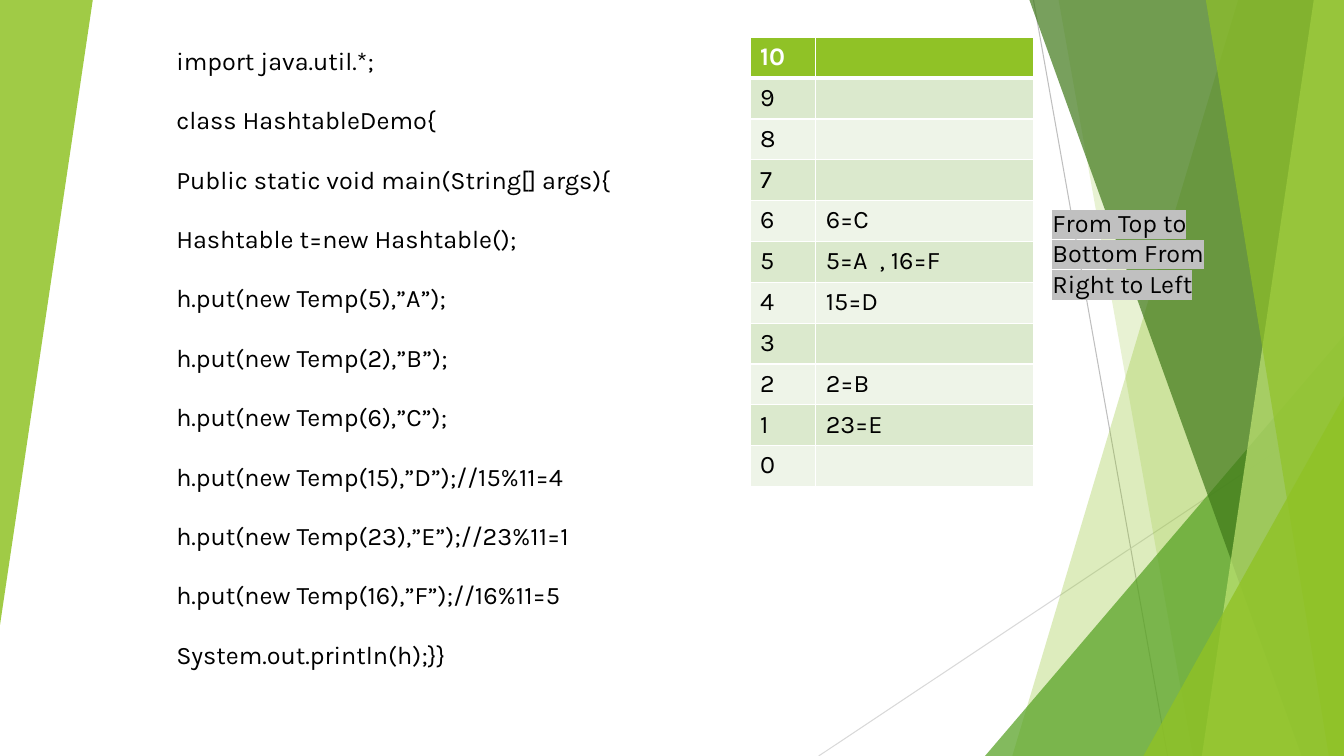
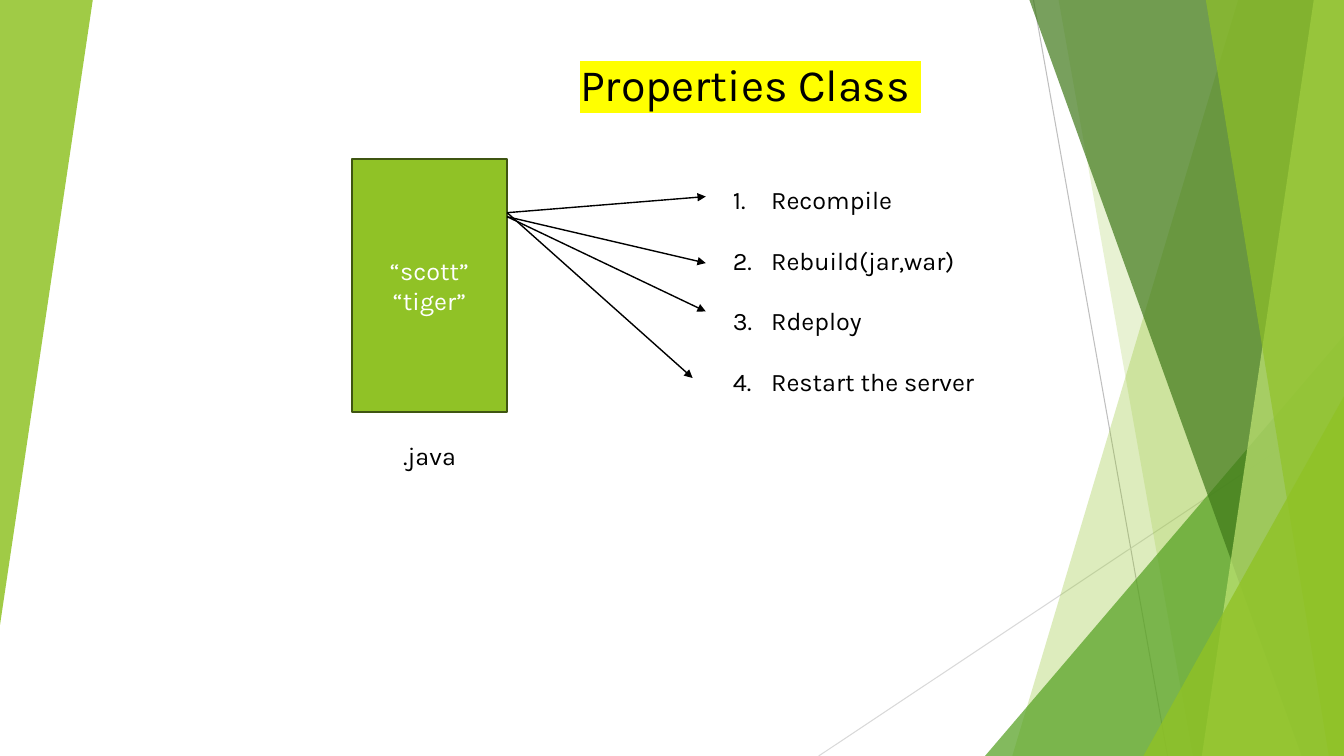
"""Build two slides: a hash table demo and the Properties class."""
import pptx
import pptx.util
import pptx.dml.color
import pptx.enum.shapes
import pptx.enum.text
import pptx.oxml
import pptx.oxml.ns
from lxml import etree

Inches, Pt = pptx.util.Inches, pptx.util.Pt
qn = pptx.oxml.ns.qn
Align = pptx.enum.text.PP_ALIGN
Kind = pptx.enum.shapes.MSO_SHAPE
STRAIGHT = pptx.enum.shapes.MSO_CONNECTOR.STRAIGHT

HUE = {
    "lime": "90C226", "leaf": "54A021", "pine": "3F7819", "pale": "C0E474",
    "edge": "3F5511", "odd": "DBE9CD", "even": "EEF4E8", "black": "000000",
    "white": "FFFFFF", "grey": "BFBFBF", "mist": "D9D9D9",
    "silver": "C0C0C0", "yellow": "FFFF00",
}
WIDE, HIGH = 13.33, 7.5
BODY = {"name": "Karla", "size": Pt(18), "bold": False}
TITLE = {**BODY, "size": Pt(32)}
HEAD = {**BODY, "bold": True}
LOOSE = {"line_spacing": 1.5, "space_before": Pt(10)}
MIDDLE = {"alignment": Align.CENTER}
STEP = {"space_after": Pt(21.7)}
MAIN = (1.65, 0.25, 11.59, 7.25)

RAYS = [((10.25, 0), (11.58, HIGH), "grey"), ((WIDE, 4.03), (8.12, HIGH), "mist")]
PANES = [
    ("band", (12.28, 10.04), "lime", 30),
    ("band", (10.5, 11.83), "lime", 20),
    ("wedge", (9.77, 3.33, 3.56, 4.17, 0), "leaf", 72),
    ("band", (10.21, 12.91), "pine", 70),
    ("band", (13.03, 11.92), "pale", 70),
    ("band", (11.96, 13.18), "lime", 65),
    ("wedge", (11.34, 3.93, 1.99, 3.57, 0), "lime", 80),
    ("wedge", (0, 0, 0.92, 6.2, 180), "lime", 85),
]

CODE = [
    "import java.util.*;",
    "class HashtableDemo{",
    "Public static void main(String[] args){",
    "Hashtable t=new Hashtable();",
    "h.put(new Temp(5),”A”);",
    "h.put(new Temp(2),”B”);",
    "h.put(new Temp(6),”C”);",
    "h.put(new Temp(15),”D”);//15%11=4",
    "h.put(new Temp(23),”E”);//23%11=1",
    "h.put(new Temp(16),”F”);//16%11=5",
    "System.out.println(h);}}",
]
SLOTS = 11
HELD = {6: "6=C", 5: "5=A  , 16=F", 4: "15=D", 2: "2=B", 1: "23=E"}
ORDER = ["From Top to Bottom From Right to Left"]

NAMES = ["“scott”", "“tiger”"]
CARD = (3.49, 1.58, 1.54, 2.51)
STEPS = ["Recompile", "Rebuild(jar,war)", "Rdeploy", "Restart the server"]
ARROWS = [(2.11, 7, 1.95), (2.15, 7, 3.09), (2.15, 7, 2.61), (2.11, 6.87, 3.75)]


def rgb(hue):
    return pptx.dml.color.RGBColor.from_string(HUE[hue])


def apply(item, form):
    for key, value in form.items():
        setattr(item, key, value)


def paint(shape, hue, alpha=100):
    shape.shadow.inherit = False
    shape.fill.solid()
    shape.fill.fore_color.rgb = rgb(hue)
    shape.line.fill.background()
    if alpha < 100:
        tone = shape.element.spPr.find(".//" + qn("a:srgbClr"))
        etree.SubElement(tone, qn("a:alpha"), val=str(alpha * 1000))


def write(frame, lines, font=BODY, hue="black", para=None, mark=None):
    frame.word_wrap = True
    for i, line in enumerate(lines):
        part = frame.add_paragraph() if i else frame.paragraphs[0]
        apply(part, para or {})
        run = part.add_run()
        run.text = line
        apply(run.font, font)
        run.font.color.rgb = rgb(hue)
        if mark:
            glow = etree.Element(qn("a:highlight"))
            etree.SubElement(glow, qn("a:srgbClr"), val=HUE[mark])
            run.font.fill
            run.font._element.find(qn("a:solidFill")).addnext(glow) if hasattr(
                run.font, "_element") else run._r.rPr.find(qn("a:solidFill")).addnext(glow)


def label(slide, box, lines, **form):
    frame = slide.shapes.add_textbox(*map(Inches, box)).text_frame
    write(frame, lines, **form)
    return frame


def rule(slide, start, end, hue, width, arrow=False):
    line = slide.shapes.add_connector(STRAIGHT, *map(Inches, start + end))
    line.line.color.rgb = rgb(hue)
    line.line.width = Pt(width)
    if arrow:
        etree.SubElement(line.element.spPr.find(qn("a:ln")), qn("a:tailEnd"), type="triangle")
    etree.SubElement(line.element.spPr, qn("a:effectLst"))


def band(slide, top, foot):
    pen = slide.shapes.build_freeform(Inches(top), 0)
    spots = [(WIDE, 0), (WIDE, HIGH), (foot, HIGH)]
    pen.add_line_segments([(Inches(x), Inches(y)) for x, y in spots])
    return pen.convert_to_shape()


def wedge(slide, x, y, w, h, turn):
    shape = slide.shapes.add_shape(Kind.ISOSCELES_TRIANGLE, *map(Inches, (x, y, w, h)))
    shape.adjustments[0] = 1
    shape.rotation = turn
    return shape


def new_slide(deck):
    slide = deck.slides.add_slide(deck.slide_layouts[6])
    for start, end, hue in RAYS:
        rule(slide, start, end, hue, 0.75)
    draw = {"band": band, "wedge": wedge}
    for kind, place, hue, alpha in PANES:
        paint(draw[kind](slide, *place), hue, alpha)
    return slide


def border(cell, foot):
    props = cell._tc.get_or_add_tcPr()
    for i, side in enumerate("LRTB"):
        width = Pt(foot if side == "B" else 1)
        line = etree.Element(qn("a:ln" + side), w=str(width))
        fill = etree.SubElement(line, qn("a:solidFill"))
        etree.SubElement(fill, qn("a:srgbClr"), val=HUE["white"])
        props.insert(i, line)


def add_slots(slide):
    box = map(Inches, (7.44, 0.37, 2.81, 4.46))
    grid = slide.shapes.add_table(SLOTS, 2, *box).table
    for col, width in zip(grid.columns, (0.65, 2.16)):
        col.width = Inches(width)
    for i, row in enumerate(grid.rows):
        slot = SLOTS - 1 - i
        hue = ("odd" if i % 2 else "even") if i else "lime"
        for cell, text in zip(row.cells, (str(slot), HELD.get(slot))):
            cell.fill.solid()
            cell.fill.fore_color.rgb = rgb(hue)
            border(cell, 1 if i else 3)
            if text:
                write(cell.text_frame, [text], BODY if i else HEAD, "black" if i else "white")


def hash_slide(deck):
    slide = new_slide(deck)
    label(slide, MAIN, CODE, para=LOOSE)
    add_slots(slide)
    label(slide, (10.34, 2.01, 1.81, 1.01), ORDER, mark="silver")


def props_slide(deck):
    slide = new_slide(deck)
    label(slide, MAIN, ["Properties Class "], font=TITLE, para={**LOOSE, **MIDDLE}, mark="yellow")
    card = slide.shapes.add_shape(Kind.RECTANGLE, *map(Inches, CARD))
    paint(card, "lime")
    card.line.color.rgb = rgb("edge")
    card.line.width = Pt(1.5)
    card.text_frame.vertical_anchor = pptx.enum.text.MSO_ANCHOR.MIDDLE
    write(card.text_frame, NAMES, hue="white", para=MIDDLE)
    left, top, wide, high = CARD
    label(slide, (left, 4.32, wide, 0.4), [".java"], para=MIDDLE)
    for start, x, y in ARROWS:
        rule(slide, (left + wide, start), (x, y), "black", 1, arrow=True)
    steps = label(slide, (7.17, 1.78, 3.3, 2.52), STEPS, para=STEP)
    for part in steps.paragraphs:
        props = part._p.get_or_add_pPr()
        props.set("marL", str(Inches(0.38)))
        props.set("indent", str(-Inches(0.38)))
        etree.SubElement(props, qn("a:buAutoNum"), type="arabicPeriod")


def main():
    deck = pptx.Presentation()
    apply(deck, {"slide_width": Inches(WIDE), "slide_height": Inches(HIGH)})
    hash_slide(deck)
    props_slide(deck)
    deck.save("out.pptx")


if __name__ == "__main__":
    main()
